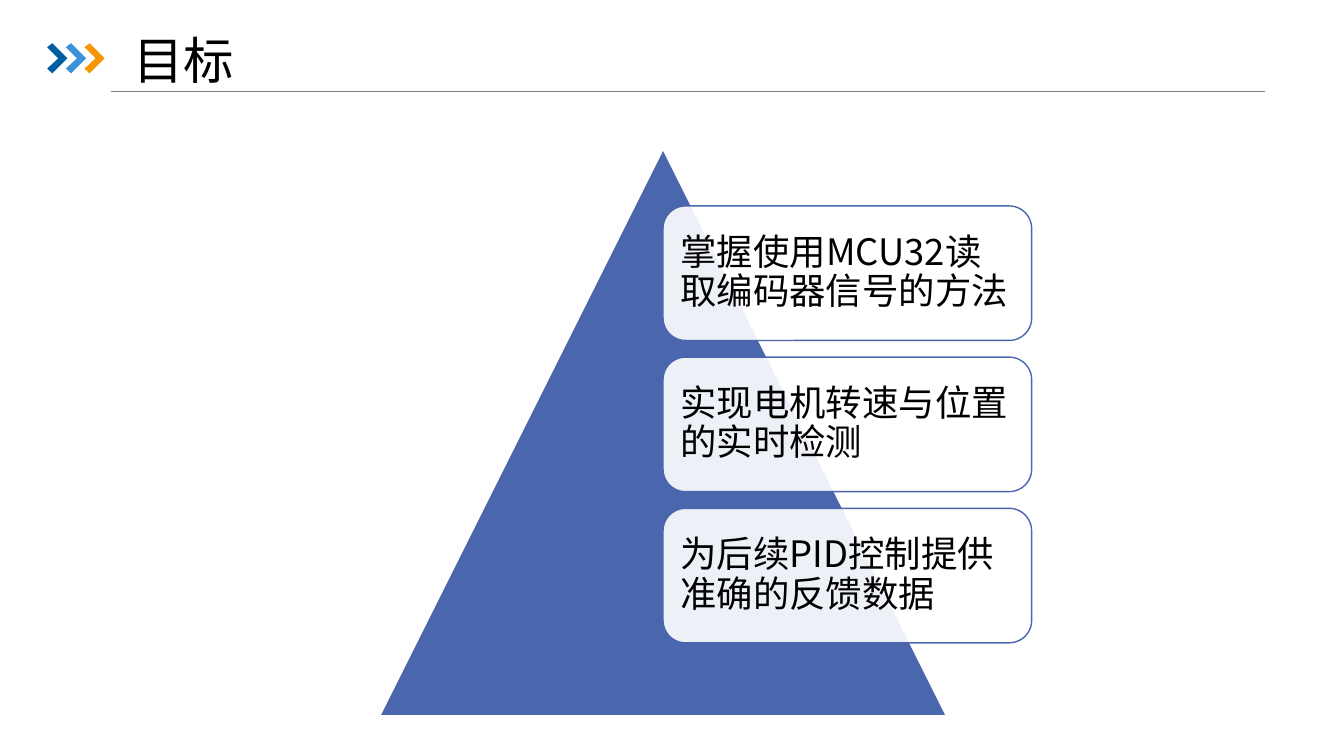
from dataclasses import dataclass

from lxml import etree
from pptx import Presentation
from pptx.dml.color import RGBColor
from pptx.enum import shapes, text
from pptx.oxml import ns
from pptx.util import Cm, Pt


@dataclass(frozen=True)
class Theme:
    font: str = "Noto Sans CJK SC"
    ink: str = "000000"
    rule: str = "808080"
    accent: str = "4A66AC"
    paper: str = "FFFFFF"
    chevrons: tuple = ("005DA2", "3992DB", "F79600")
    title_size: int = 36
    goal_size: int = 26
    card_alpha: int = 90


THEME = Theme()
GOALS = [
    "掌握使用MCU32读取编码器信号的方法",
    "实现电机转速与位置的实时检测",
    "为后续PID控制提供准确的反馈数据",
]
CHEVRON = [(0, 0.1), (0.13, 0), (0.51, 0.38), (0.13, 0.76), (0, 0.64), (0.28, 0.38)]


def apply(target, values):
    for name, value in values.items():
        setattr(target, name, value)


def paint(shape, fill, line=None):
    shape.shadow.inherit = False
    shape.fill.solid()
    shape.fill.fore_color.rgb = RGBColor.from_string(fill)
    if line:
        shape.line.color.rgb = RGBColor.from_string(line)
        shape.line.width = Pt(1)
    else:
        shape.line.fill.background()


def write(shape, words, size, frame_format):
    frame = shape.text_frame
    frame.text = words
    apply(frame, {"word_wrap": True, "auto_size": text.MSO_AUTO_SIZE.NONE,
                  "vertical_anchor": text.MSO_ANCHOR.MIDDLE, **frame_format})
    paragraph = frame.paragraphs[0]
    apply(paragraph, {"alignment": text.PP_ALIGN.LEFT, "line_spacing": 0.9})
    font = paragraph.runs[0].font
    apply(font, {"name": THEME.font, "size": Pt(size)})
    font.color.rgb = RGBColor.from_string(THEME.ink)
    # East Asian glyphs take their own typeface entry
    latin = paragraph.runs[0]._r.rPr.find(ns.qn("a:latin"))
    east_asian = etree.Element(ns.qn("a:ea"), typeface=THEME.font)
    latin.addnext(east_asian)


def add_header(slide, left, top, width, height):
    # Rule under the title
    rule = slide.shapes.add_connector(
        shapes.MSO_CONNECTOR.STRAIGHT,
        Cm(left + 1.6), Cm(top + height), Cm(left + width), Cm(top + height))
    rule.line.color.rgb = RGBColor.from_string(THEME.rule)
    rule.line.width = Pt(0.5)
    etree.SubElement(rule._element.spPr, ns.qn("a:effectLst"))

    # Three chevrons
    for index, color in enumerate(THEME.chevrons):
        x = left + index * 0.47
        points = [(Cm(x + dx), Cm(top + dy)) for dx, dy in CHEVRON]
        outline = slide.shapes.build_freeform(*points[0])
        outline.add_line_segments(points[1:], close=True)
        paint(outline.convert_to_shape(), color)

    # Title
    title = slide.shapes.title
    apply(title, {"left": Cm(left + 1.91), "top": Cm(top - 0.05),
                  "width": Cm(29.24), "height": Cm(1.09)})
    write(title, "目标", THEME.title_size, {})


def add_goal_pyramid(slide, left, top, size):
    pyramid = slide.shapes.add_shape(
        shapes.MSO_SHAPE.ISOSCELES_TRIANGLE, Cm(left), Cm(top), Cm(size), Cm(size))
    paint(pyramid, THEME.accent, THEME.paper)

    # Goal cards, starting at the pyramid's axis
    card_width, card_height, step = 9.29, 3.39, 3.81
    inset = Cm(0.27)
    margins = {f"margin_{side}": inset for side in ("left", "top", "right", "bottom")}
    for index, goal in enumerate(GOALS):
        card = slide.shapes.add_shape(
            shapes.MSO_SHAPE.ROUNDED_RECTANGLE,
            Cm(left + size / 2), Cm(top + 1.43 + index * step),
            Cm(card_width), Cm(card_height))
        paint(card, THEME.paper, THEME.accent)
        fill_color = card._element.spPr.find(ns.qn("a:solidFill"))[0]
        etree.SubElement(fill_color, ns.qn("a:alpha"), val=str(THEME.card_alpha * 1000))
        write(card, goal, THEME.goal_size, margins)


def main():
    deck = Presentation()
    apply(deck, {"slide_width": Cm(33.87), "slide_height": Cm(19.05)})
    slide = deck.slides.add_slide(deck.slide_layouts[5])
    add_header(slide, left=1.19, top=1.09, width=30.69, height=1.22)
    add_goal_pyramid(slide, left=9.57, top=3.76, size=14.28)
    deck.save("out.pptx")


if __name__ == "__main__":
    main()
